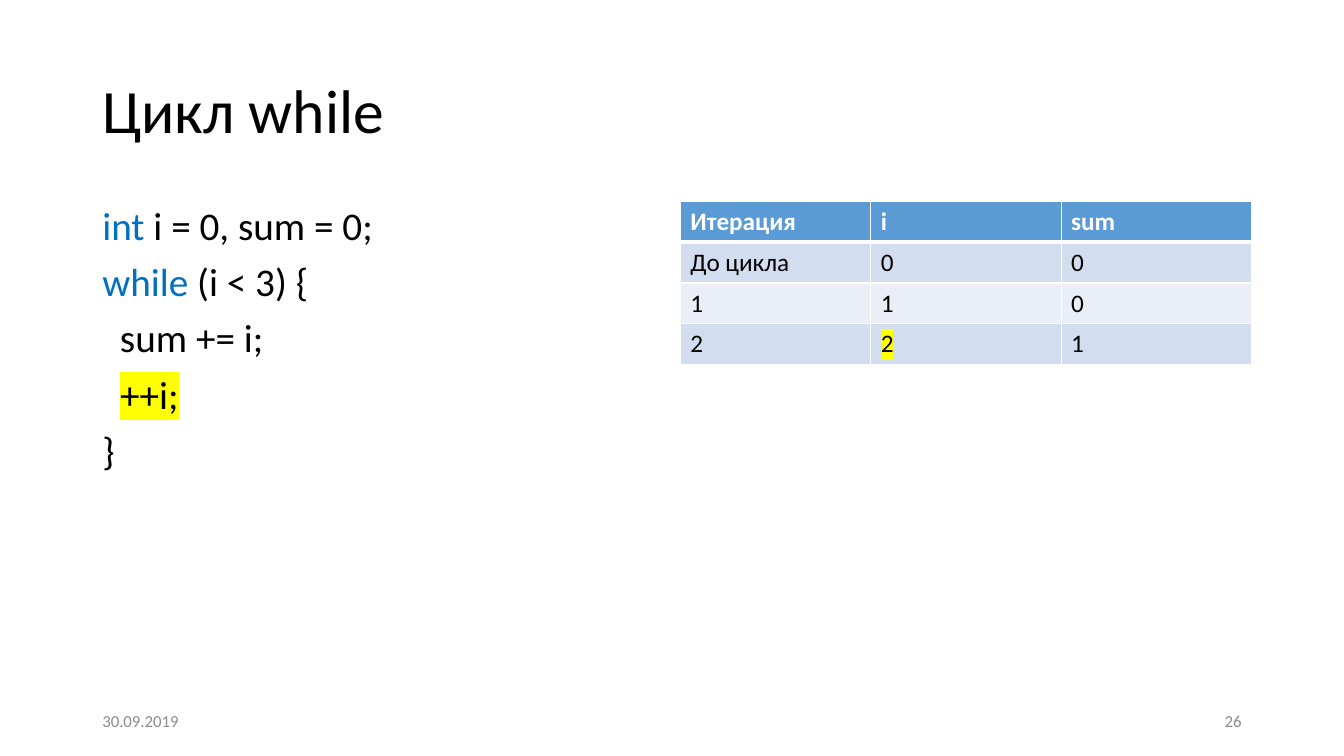
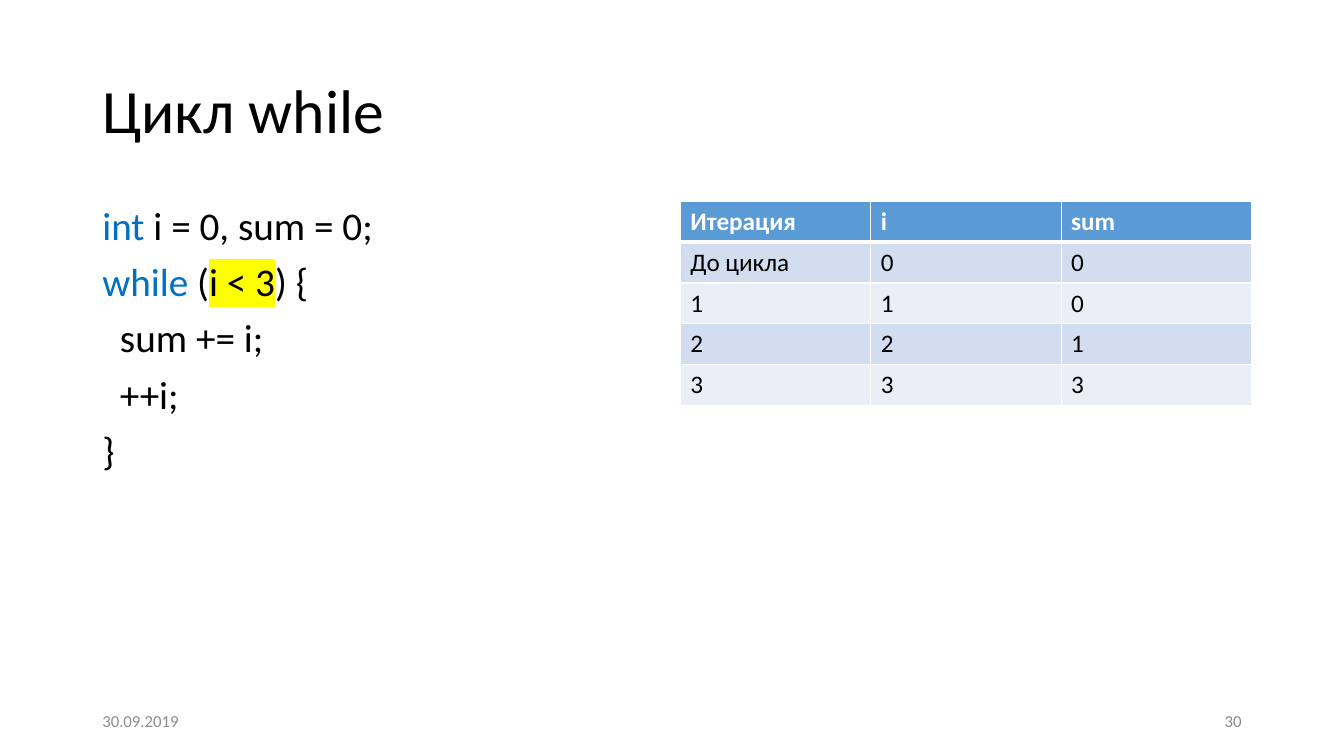
import pptx
import pptx.util
import pptx.dml.color
import pptx.enum.text
import pptx.oxml.ns
from lxml import etree

Pt = pptx.util.Pt
RGB = pptx.dml.color.RGBColor
ANCHOR = pptx.enum.text.MSO_ANCHOR
ALIGN = pptx.enum.text.PP_ALIGN
qn = pptx.oxml.ns.qn

BLACK = RGB(0x00, 0x00, 0x00)
WHITE = RGB(0xFF, 0xFF, 0xFF)
GRAY = RGB(0x8C, 0x8C, 0x8C)
KEYWORD_BLUE = RGB(0x00, 0x70, 0xC0)
YELLOW = RGB(0xFF, 0xFF, 0x00)
HEADER_BLUE = RGB(0x5B, 0x9B, 0xD5)
BANDS = (RGB(0xD2, 0xDE, 0xEF), RGB(0xEA, 0xEF, 0xF7))

FONT = "Calibri"
TITLE = {"size": Pt(44), "color": BLACK}
CODE = {"size": Pt(28), "color": BLACK}
KEYWORD = {**CODE, "color": KEYWORD_BLUE}
HEADER = {"size": Pt(18), "color": WHITE, "bold": True}
BODY = {"size": Pt(18), "color": BLACK, "bold": False}
FOOTER = {"size": Pt(12), "color": GRAY}

SLIDE_W, SLIDE_H = 960, 540
MARGIN = 66
CONTENT_W = SLIDE_W - 2 * MARGIN
COLUMN_W = 408
COLUMN_TOP = 143.75
FOOTER_W = 216
ROW_H = 29.2

# Each line: keyword, then the rest of the line
LOOP_CODE = [
    ("int", " i = 0, sum = 0;"),
    ("while", " (i < 3) {"),
    ("", "  sum += i;"),
    ("", "  ++i;"),
    ("", "}"),
]
TRACE = [
    ("Итерация", "i", "sum"),
    ("До цикла", "0", "0"),
    ("1", "1", "0"),
    ("2", "2", "1"),
    ("3", "3", "3"),
]


def add_run(p, text, fmt, marked=False):
    if not text:
        return
    r = p.add_run()
    r.text = text
    r.font.name = FONT
    for name, value in fmt.items():
        if name == "color":
            r.font.color.rgb = value
        else:
            setattr(r.font, name, value)
    if marked:
        highlight = etree.Element(qn("a:highlight"))
        etree.SubElement(highlight, qn("a:srgbClr"), val=str(YELLOW))
        r._r.get_or_add_rPr().find(qn("a:solidFill")).addnext(highlight)


def add_box(s, box, anchor):
    """Add an empty wrapping text box and return its text frame."""
    tf = s.shapes.add_textbox(*map(Pt, box)).text_frame
    tf.word_wrap = True
    tf.vertical_anchor = anchor
    return tf


def add_line(s, box, text, fmt, align=ALIGN.LEFT, spacing=1.0):
    """Add a box holding one vertically centred line."""
    p = add_box(s, box, ANCHOR.MIDDLE).paragraphs[0]
    p.alignment = align
    p.line_spacing = spacing
    add_run(p, text, fmt)


def add_code(s, box, mark):
    """Add the loop listing with the fragment mark highlighted."""
    tf = add_box(s, box, ANCHOR.TOP)
    for i, (keyword, rest) in enumerate(LOOP_CODE):
        p = tf.add_paragraph() if i else tf.paragraphs[0]
        p.line_spacing = 0.9
        p.space_before = Pt(10 if i else 0)
        add_run(p, keyword, KEYWORD)
        before, found, after = rest.partition(mark)
        add_run(p, before, CODE)
        add_run(p, found, CODE, marked=True)
        add_run(p, after, CODE)


def set_borders(cell, widths):
    tc_pr = cell._tc.get_or_add_tcPr()
    for side, width in widths.items():
        ln = etree.SubElement(tc_pr, qn("a:ln" + side), w=str(Pt(width)))
        fill = etree.SubElement(ln, qn("a:solidFill"))
        etree.SubElement(fill, qn("a:srgbClr"), val=str(WHITE))


def add_trace(s, left, top, width, rows, marked_cell):
    """Add the table of variable values; marked_cell is (row, column) or None."""
    cols = len(rows[0])
    table = s.shapes.add_table(len(rows), cols, Pt(left), Pt(top),
                               Pt(width), Pt(ROW_H * len(rows))).table
    for column in table.columns:
        column.width = Pt(width / cols)
    for i, row in enumerate(rows):
        table.rows[i].height = Pt(ROW_H)
        for j, text in enumerate(row):
            cell = table.cell(i, j)
            set_borders(cell, {"L": 1, "R": 1, "T": 3 if i == 1 else 1,
                               "B": 3 if i == 0 else 1})
            cell.fill.solid()
            cell.fill.fore_color.rgb = BANDS[(i - 1) % 2] if i else HEADER_BLUE
            add_run(cell.text_frame.paragraphs[0], text,
                    BODY if i else HEADER, marked=(i, j) == marked_cell)


def add_footer(s, top, height, number):
    right = MARGIN + CONTENT_W - FOOTER_W
    add_line(s, (MARGIN, top, FOOTER_W, height), "30.09.2019", FOOTER)
    add_line(s, (right, top, FOOTER_W, height), str(number), FOOTER, ALIGN.RIGHT)


def add_loop_slide(prs, number, mark, rows, marked_cell=None):
    s = prs.slides.add_slide(prs.slide_layouts[6])
    add_line(s, (MARGIN, 28.75, CONTENT_W, 104.4), "Цикл while", TITLE, spacing=0.9)
    add_code(s, (MARGIN, COLUMN_TOP, COLUMN_W, 342.6), mark)
    add_trace(s, MARGIN + CONTENT_W - COLUMN_W, COLUMN_TOP, COLUMN_W, rows, marked_cell)
    add_footer(s, 500.5, 28.75, number)


def main():
    prs = pptx.Presentation()
    prs.slide_width, prs.slide_height = Pt(SLIDE_W), Pt(SLIDE_H)
    add_loop_slide(prs, 26, "++i;", TRACE[:4], marked_cell=(3, 1))
    add_loop_slide(prs, 30, "i < 3", TRACE)
    prs.save("out.pptx")


if __name__ == "__main__":
    main()
